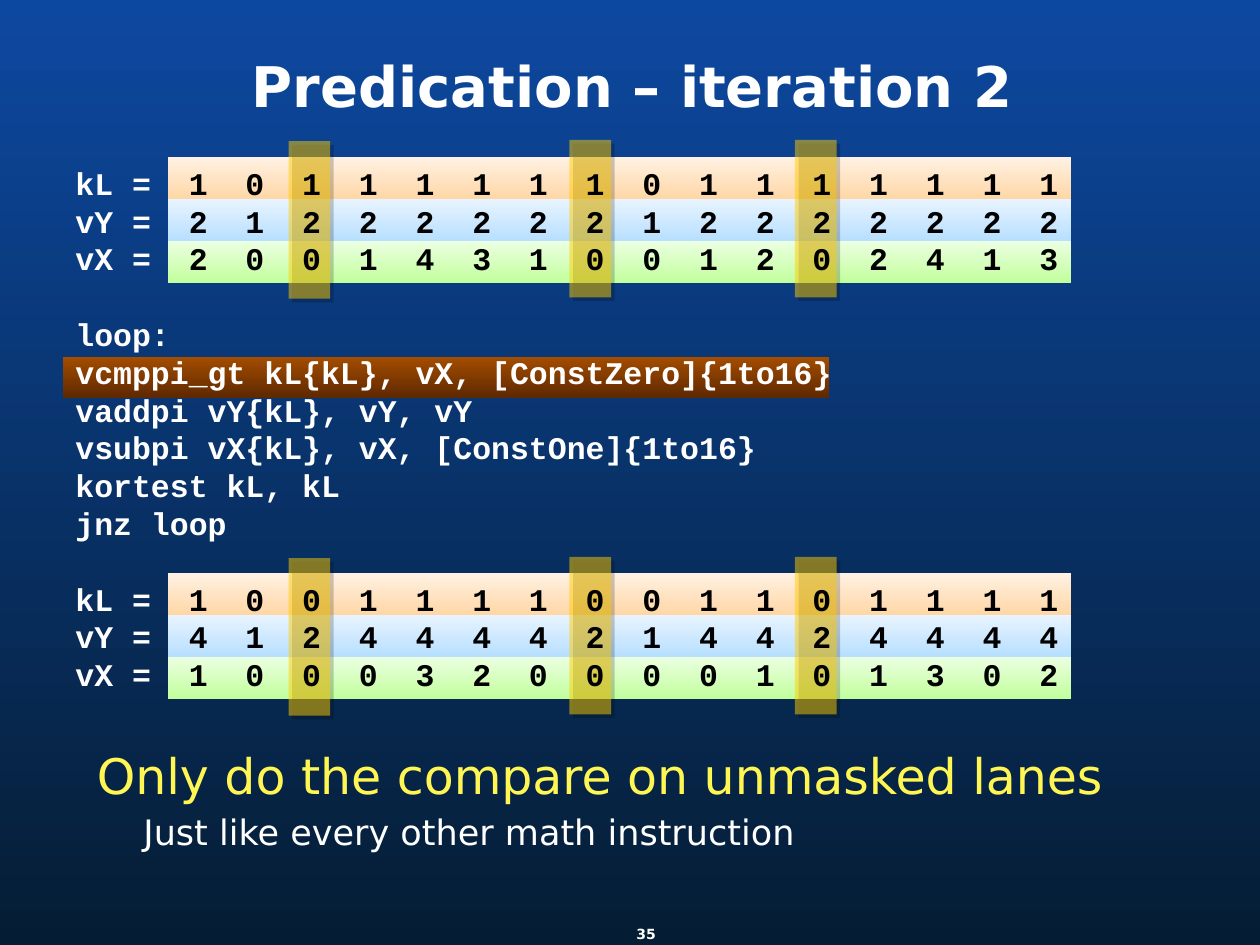
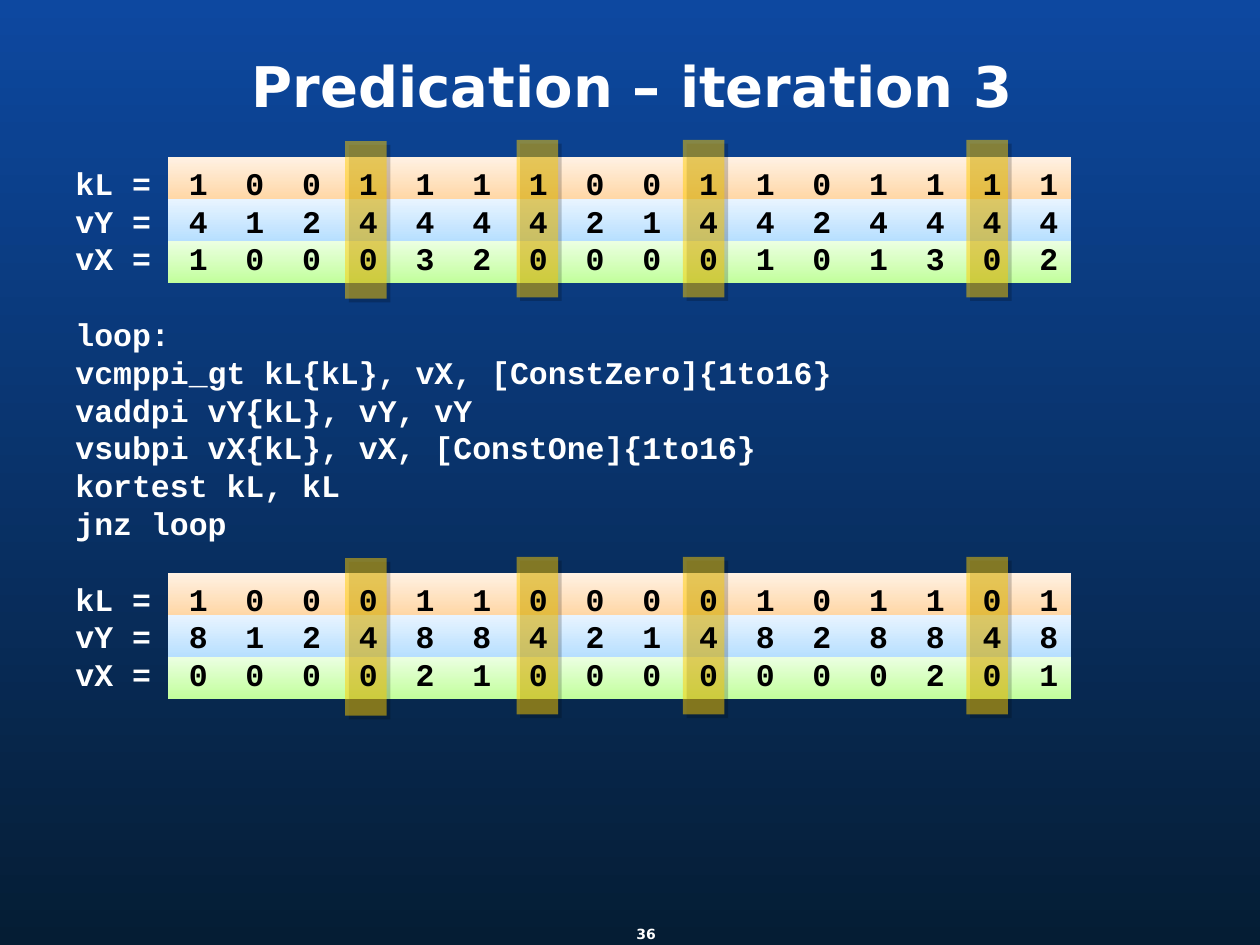
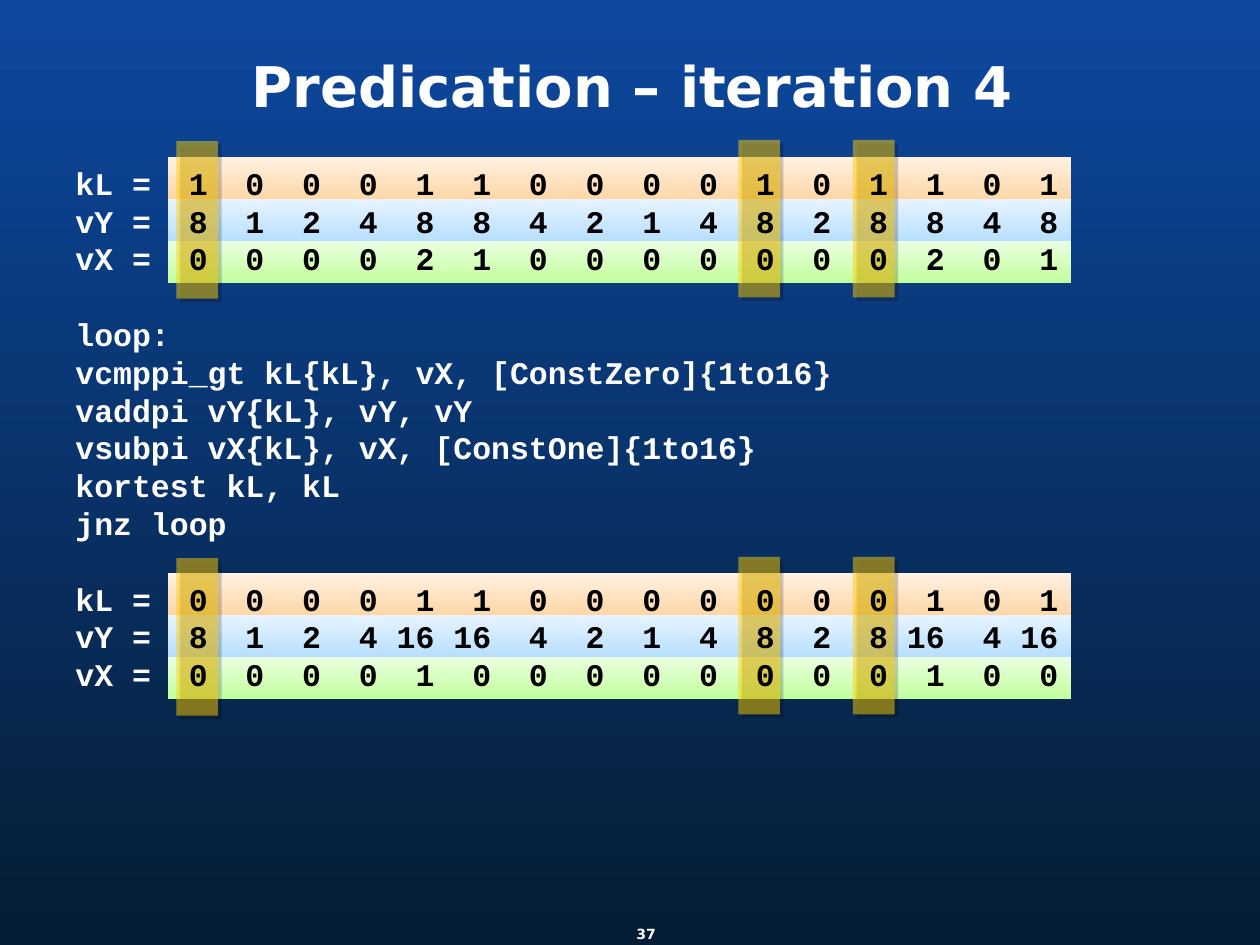
from lxml import etree
from pptx import Presentation
from pptx import util as u
from pptx.dml.color import RGBColor
from pptx.enum import shapes, text
from pptx.oxml import ns

WHITE, BLACK, GOLD, YELLOW = "FFFFFF", "000000", "FFCC00", "FFF654"
SANS, MONO = "DejaVu Sans", "Courier New"
NIGHT = ("051D34", "0D48A0")
BROWN = ("5E2800", "A44D00")
BANDS = [("FFD7A6", "FFF1E3"), ("B7DFFF", "E8F4FF"), ("C2FF9C", "EBFFE1")]
NAMES = ["kL", "vY", "vX"]
LOOP = [
    "loop:",
    "vcmppi_gt kL{kL}, vX, [ConstZero]{1to16}",
    "vaddpi vY{kL}, vY, vY",
    "vsubpi vX{kL}, vX, [ConstOne]{1to16}",
    "kortest kL, kL",
    "jnz loop",
]
BAND_TOPS = (1.25, 4.55)
BAR_TOPS = (1.11, 4.42)
LANES, LANE_END, LANE_STEP = 16, 1.05, 0.45
LINE = 21.6

START = ["1 0 1 1 1 1 1 1 0 1 1 1 1 1 1 1",
         "2 1 2 2 2 2 2 2 1 2 2 2 2 2 2 2",
         "2 0 0 1 4 3 1 0 0 1 2 0 2 4 1 3"]
SECOND = ["1 0 0 1 1 1 1 0 0 1 1 0 1 1 1 1",
          "4 1 2 4 4 4 4 2 1 4 4 2 4 4 4 4",
          "1 0 0 0 3 2 0 0 0 0 1 0 1 3 0 2"]
THIRD = ["1 0 0 0 1 1 0 0 0 0 1 0 1 1 0 1",
         "8 1 2 4 8 8 4 2 1 4 8 2 8 8 4 8",
         "0 0 0 0 2 1 0 0 0 0 0 0 0 2 0 1"]
FOURTH = ["0 0 0 0 1 1 0 0 0 0 0 0 0 1 0 1",
          "8 1 2 4 16 16 4 2 1 4 8 2 8 16 4 16",
          "0 0 0 0 1 0 0 0 0 0 0 0 0 1 0 0"]
STEPS = [
    (2, START, SECOND, [2.29, 4.52, 6.31]),
    (3, SECOND, THIRD, [2.74, 4.1, 5.42, 7.67]),
    (4, THIRD, FOURTH, [1.4, 5.86, 6.77]),
]


def rgb(code):
    """Turn a hex string into a colour."""
    return RGBColor.from_string(code)


def box(left, top, width, height):
    """Return the four lengths in inches."""
    return [u.Inches(n) for n in (left, top, width, height)]


def node(parent, tag, **attrs):
    """Add a drawing element with attributes."""
    return etree.SubElement(parent, ns.qn(tag), {k: str(v) for k, v in attrs.items()})


def blend(fill, pair):
    """Fill from the first colour at the bottom to the second at the top."""
    fill.gradient()
    fill.gradient_angle = 90
    for stop, code in zip(fill.gradient_stops, pair):
        stop.color.rgb = rgb(code)


def rect(slide, *place):
    """Add a rectangle without line or shadow."""
    shape = slide.shapes.add_shape(shapes.MSO_SHAPE.RECTANGLE, *box(*place))
    shape.shadow.inherit = False
    shape.line.fill.background()
    return shape


def band(slide, pair, left, top, width):
    """Add a gradient strip one row high."""
    blend(rect(slide, left, top, width, 0.33).fill, pair)


def bar(slide, left, top):
    """Add a see-through marker over one lane."""
    shape = rect(slide, left, top, 0.33, 1.25)
    shape.fill.solid()
    shape.fill.fore_color.rgb = rgb(GOLD)
    props = shape._element.spPr
    node(props.find(".//" + ns.qn("a:srgbClr")), "a:alpha", val=50000)
    drop = node(props.find(ns.qn("a:effectLst")), "a:outerShdw",
                blurRad=0, dist=u.Pt(3), dir=45 * 60000, algn="ctr", rotWithShape=0)
    node(node(drop, "a:srgbClr", val=BLACK), "a:alpha", val=40000)


def frame(slide, *place):
    """Add a wrapping text box and return its frame."""
    area = slide.shapes.add_textbox(*box(*place)).text_frame
    area.word_wrap = True
    return area


def para(area):
    """Return the first unused paragraph of a frame."""
    last = area.paragraphs[-1]
    return area.add_paragraph() if last.runs else last


def run(line, words, size, face, color, bold=False):
    """Add one formatted run."""
    part = line.add_run()
    part.text = words
    part.font.size = u.Pt(size)
    part.font.name = face
    part.font.color.rgb = rgb(color)
    part.font.bold = bold


def head(slide, words):
    """Place and format the title."""
    title = slide.shapes.title
    title.left, title.top, title.width, title.height = box(0.42, 0.25, 9.2, 0.92)
    area = title.text_frame
    area.auto_size = text.MSO_AUTO_SIZE.NONE
    area.vertical_anchor = text.MSO_ANCHOR.MIDDLE
    line = area.paragraphs[0]
    line.alignment = text.PP_ALIGN.CENTER
    line.line_spacing = 0.9
    run(line, words, 32, SANS, WHITE, True)


def folio(slide, number):
    """Add the slide number."""
    area = frame(slide, 5.05, 7.25, 0.45, 0.33)
    area.margin_left = area.margin_right = area.margin_top = area.margin_bottom = 0
    area.vertical_anchor = text.MSO_ANCHOR.MIDDLE
    run(area.paragraphs[0], str(number), 8, SANS, WHITE, True)


def lanes(area, rows):
    """Write three registers with right-aligned lane values."""
    for name, row in zip(NAMES, rows):
        line = para(area)
        tabs = node(line._p.get_or_add_pPr(), "a:tabLst")
        for i in range(LANES):
            node(tabs, "a:tab", pos=u.Inches(LANE_END + i * LANE_STEP), algn="r")
        run(line, name + " =", 18, MONO, WHITE, True)
        run(line, "".join("\t" + n for n in row.split()), 18, MONO, BLACK, True)


def code(slide, before, after):
    """Write the loop between the registers before and after it."""
    area = frame(slide, 0.5, 1.25, 9, 4.58)
    lanes(area, before)
    for words in LOOP:
        run(para(area), words, 18, MONO, WHITE, True)
    lanes(area, after)
    for i in (len(NAMES), len(NAMES) + len(LOOP)):
        area.paragraphs[i].space_before = u.Pt(LINE)


def note(slide):
    """Add the remark with its indented second line."""
    area = frame(slide, 0.67, 5.92, 8.58, 0.92)
    for words, size, color, indent in [
        ("Only do the compare on unmasked lanes", 28, YELLOW, 0),
        ("Just like every other math instruction", 20, WHITE, 0.37),
    ]:
        line = para(area)
        line._p.get_or_add_pPr().set("marL", str(u.Inches(indent)))
        line.line_spacing = 0.9
        line.space_after = u.Pt(6)
        run(line, words, size, SANS, color)


def page(deck, step, before, after, lefts):
    """Build the slide of one loop iteration."""
    slide = deck.slides.add_slide(deck.slide_layouts[5])
    head(slide, f"Predication – iteration {step}")
    for top in BAND_TOPS:
        for i, pair in enumerate(BANDS):
            band(slide, pair, 1.33, top + i / 3, 7.17)
    if step == 2:
        band(slide, BROWN, 0.5, 2.83, 6.08)
    for top in BAR_TOPS:
        for i, left in enumerate(lefts):
            bar(slide, left, top if i else top + 0.01)
    code(slide, before, after)
    folio(slide, step + 33)
    return slide


def main():
    """Build and save the deck."""
    deck = Presentation()
    deck.slide_width, deck.slide_height = u.Inches(10), u.Inches(7.5)
    blend(deck.slide_master.background.fill, NIGHT)
    first, *_ = [page(deck, *step) for step in STEPS]
    note(first)
    deck.save("out.pptx")


if __name__ == "__main__":
    main()
